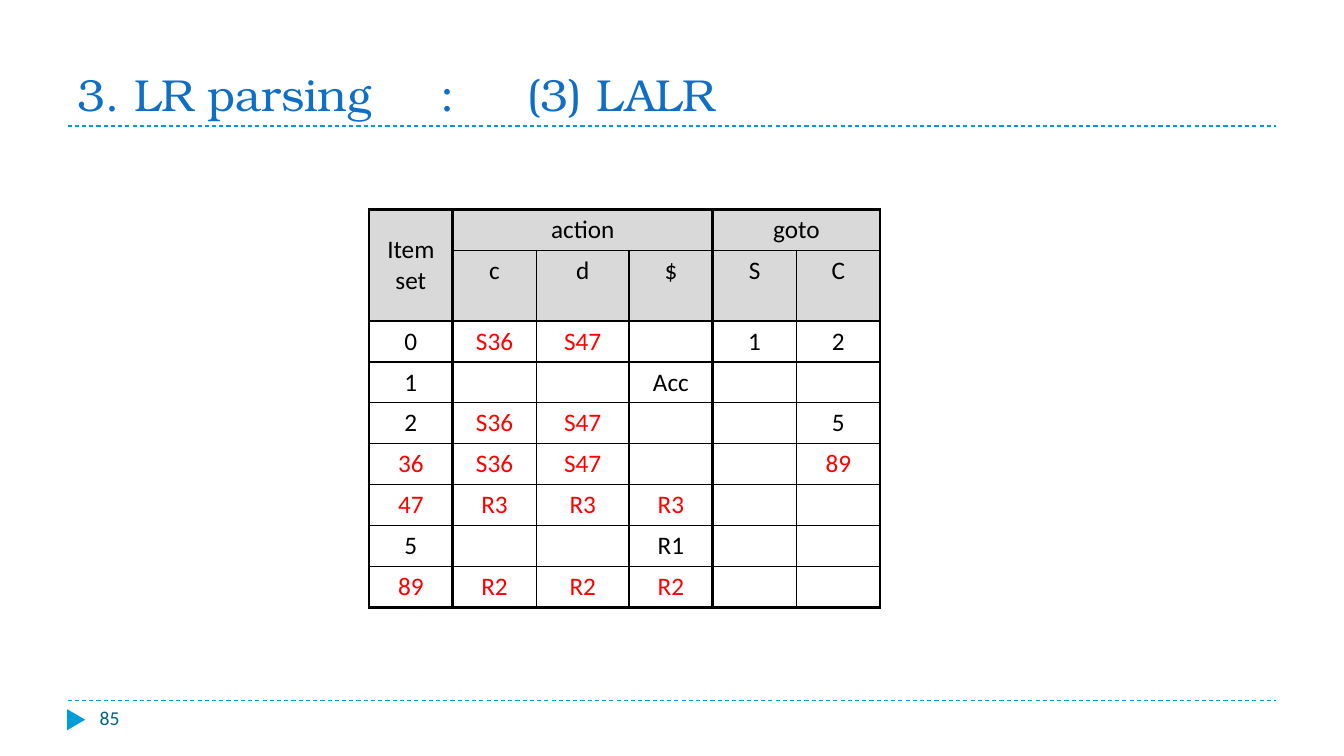
import pptx
import pptx.dml.color
import pptx.enum.dml
import pptx.enum.shapes
import pptx.enum.text
import pptx.oxml
import pptx.util

NAMESPACE = 'xmlns:a="http://schemas.openxmlformats.org/drawingml/2006/main"'
EMU_PER_PX = 9144
ACCENT = "009DD9"
HEADER_ROWS = [
    ["Item set", "action", "", "", "goto", ""],
    ["", "c", "d", "$", "S", "C"],
]
STATE_ROWS = [
    ["0", "S36", "S47", "", "1", "2"],
    ["1", "", "", "Acc", "", ""],
    ["2", "S36", "S47", "", "", "5"],
    ["36", "S36", "S47", "", "", "89"],
    ["47", "R3", "R3", "R3", "", ""],
    ["5", "", "", "R1", "", ""],
    ["89", "R2", "R2", "R2", "", ""],
]
MERGED_STATE_ENTRIES = {"36", "47", "89", "S36", "S47", "R2", "R3"}
HEADER_MERGES = [((0, 0), (1, 0)), ((0, 1), (0, 3)), ((0, 4), (0, 5))]
COLUMN_WIDTHS = [83, 83, 92, 83, 83, 83]
THICK_COLUMN_EDGES = {0, 1, 4, 6}
THICK_ROW_EDGES = {0, 2, 9}


def px(length):
    return pptx.util.Emu(length * EMU_PER_PX)


def color(hex_string):
    return pptx.dml.color.RGBColor.from_string(hex_string)


class SlideBuilder:
    """Draws styled elements on the current slide."""

    title_format = {"name": "TeX Gyre Bonum", "size": pptx.util.Pt(32)}
    cell_format = {"name": "Calibri", "size": pptx.util.Pt(18)}
    number_format = {"name": "Calibri", "size": pptx.util.Pt(14)}

    def __init__(self, presentation):
        self.slide = presentation.slides.add_slide(presentation.slide_layouts[5])

    def add_text(self, paragraph, text, format_values, hex_string):
        run = paragraph.add_run()
        run.text = text
        for name, value in format_values.items():
            setattr(run.font, name, value)
        run.font.color.rgb = color(hex_string)

    def title(self, text, left, top, width, height, tab_stops):
        shape = self.slide.shapes.title
        box = {"left": left, "top": top, "width": width, "height": height}
        for name, value in box.items():
            setattr(shape, name, px(value))
        frame = shape.text_frame
        frame.auto_size = pptx.enum.text.MSO_AUTO_SIZE.NONE
        frame.vertical_anchor = pptx.enum.text.MSO_ANCHOR.BOTTOM
        paragraph = frame.paragraphs[0]
        paragraph.alignment = pptx.enum.text.PP_ALIGN.LEFT
        stops = "".join(f'<a:tab pos="{px(stop)}" algn="l"/>' for stop in tab_stops)
        paragraph._p.get_or_add_pPr().append(
            pptx.oxml.parse_xml(f"<a:tabLst {NAMESPACE}>{stops}</a:tabLst>"))
        self.add_text(paragraph, text, self.title_format, "0F6FC6")

    def dashed_line(self, left, right, y):
        connector = self.slide.shapes.add_connector(
            pptx.enum.shapes.MSO_CONNECTOR.STRAIGHT, px(left), px(y), px(right), px(y))
        connector.line.color.rgb = color(ACCENT)
        connector.line.width = pptx.util.Pt(0.75)
        connector.line.dash_style = pptx.enum.dml.MSO_LINE.DASH
        connector._element.spPr.append(
            pptx.oxml.parse_xml(f"<a:effectLst {NAMESPACE}/>"))

    def page_marker(self, left, top, width, height):
        shape = self.slide.shapes.add_shape(
            pptx.enum.shapes.MSO_SHAPE.ISOSCELES_TRIANGLE,
            px(left), px(top), px(width), px(height))
        shape.rotation = 90
        shape.shadow.inherit = False
        shape.fill.solid()
        shape.fill.fore_color.rgb = color(ACCENT)
        shape.line.fill.background()

    def page_number(self, text, left, top, width, height):
        shape = self.slide.shapes.add_textbox(px(left), px(top), px(width), px(height))
        shape.text_frame.word_wrap = True
        self.add_text(shape.text_frame.paragraphs[0], text, self.number_format, "04617B")

    def cell_borders(self, cell, row, column):
        edges = {
            "lnL": column in THICK_COLUMN_EDGES,
            "lnR": column + cell.span_width in THICK_COLUMN_EDGES,
            "lnT": row in THICK_ROW_EDGES,
            "lnB": row + cell.span_height in THICK_ROW_EDGES,
        }
        properties = cell._tc.get_or_add_tcPr()
        for position, (tag, thick) in enumerate(edges.items()):
            width = pptx.util.Pt(2.25 if thick else 1)
            properties.insert(position, pptx.oxml.parse_xml(
                f'<a:{tag} {NAMESPACE} w="{width}"><a:solidFill>'
                f'<a:srgbClr val="000000"/></a:solidFill></a:{tag}>'))

    def table_cell(self, cell, text, row, column):
        if row < len(HEADER_ROWS):
            cell.fill.solid()
            cell.fill.fore_color.rgb = color("D9D9D9")
        else:
            cell.fill.background()
        if cell.is_spanned:
            return
        if cell.span_height > 1:
            cell.vertical_anchor = pptx.enum.text.MSO_ANCHOR.MIDDLE
        self.cell_borders(cell, row, column)
        paragraph = cell.text_frame.paragraphs[0]
        paragraph.alignment = pptx.enum.text.PP_ALIGN.CENTER
        if text:
            hex_string = "FF0000" if text in MERGED_STATE_ENTRIES else "000000"
            self.add_text(paragraph, text, self.cell_format, hex_string)

    def parsing_table(self, left, top, height):
        rows = HEADER_ROWS + STATE_ROWS
        table = self.slide.shapes.add_table(
            len(rows), len(COLUMN_WIDTHS), px(left), px(top),
            px(sum(COLUMN_WIDTHS)), px(height)).table
        table.first_row = False
        table.horz_banding = False
        for column, width in zip(table.columns, COLUMN_WIDTHS):
            column.width = px(width)
        for first, last in HEADER_MERGES:
            table.cell(*first).merge(table.cell(*last))
        for row, texts in enumerate(rows):
            for column, text in enumerate(texts):
                self.table_cell(table.cell(row, column), text, row, column)


def main():
    presentation = pptx.Presentation()
    presentation.slide_width = px(1333)
    presentation.slide_height = px(750)
    builder = SlideBuilder(presentation)
    for y in (695, 125):
        builder.dashed_line(67, 1266, y)
    builder.page_marker(65, 705, 21, 18)
    builder.title("3. LR parsing\t:\t(3) LALR", 67, 25, 1200, 100, [360, 446])
    builder.page_number("85", 89, 695, 289, 40)
    builder.parsing_table(366, 208, 365)
    presentation.save("out.pptx")


if __name__ == "__main__":
    main()
